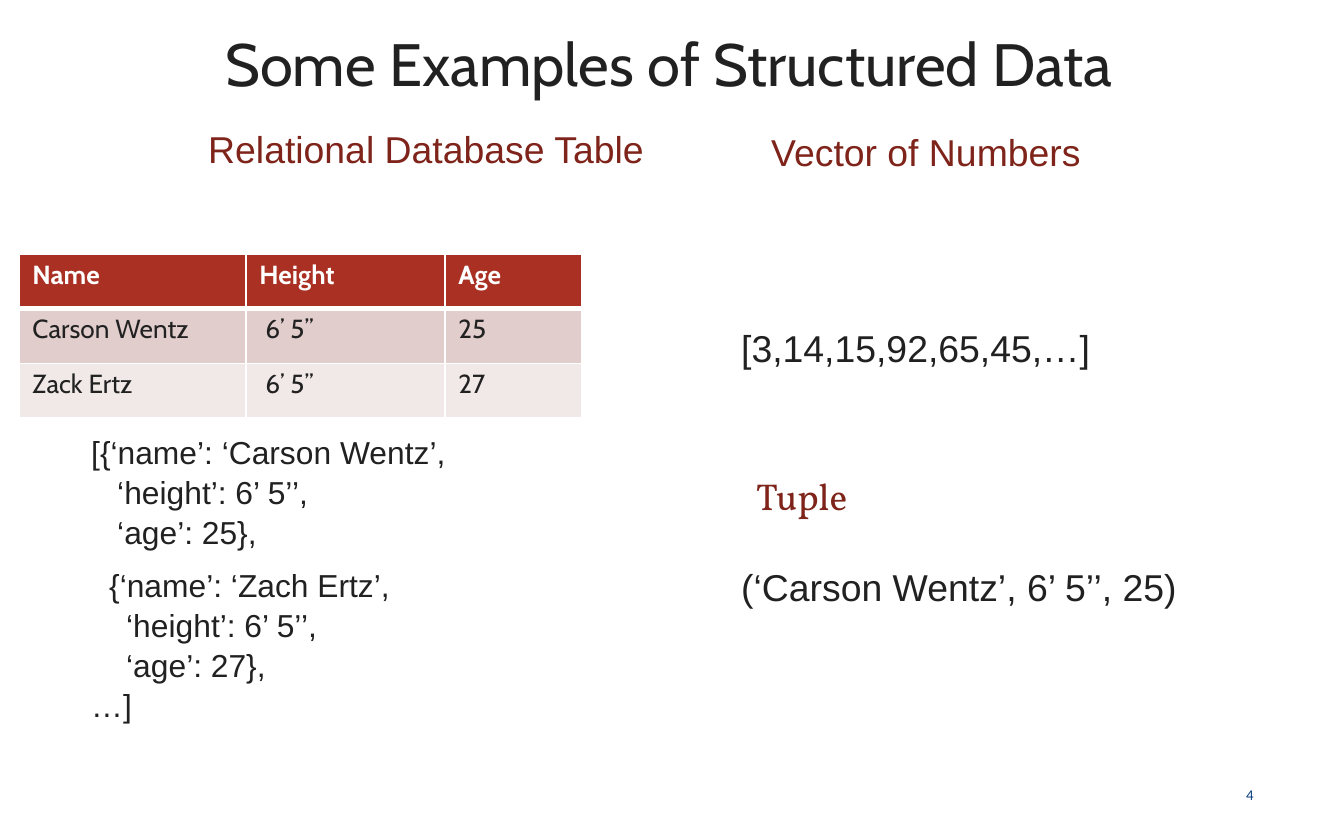
import pptx
import pptx.dml.color
import pptx.enum.text
import pptx.oxml
import pptx.oxml.ns
import pptx.util

PX = 914400 / 134.4
INK, RED, WHITE, BLUE = "212121", "7F241A", "FFFFFF", "0B4183"
HEAD_FILL, ROW_FILLS = "A93023", ("E2CDCD", "F1E8E8")
ALIGN = pptx.enum.text.PP_ALIGN
ANCHOR = pptx.enum.text.MSO_ANCHOR


def px(length):
    return pptx.util.Emu(round(length * PX))


def color(code):
    return pptx.dml.color.RGBColor.from_string(code)


def add_span(para, text, size, font, code, bold=False):
    span = para.add_run()
    span.text = text
    span.font.size = pptx.util.Pt(size)
    span.font.name = font
    span.font.bold = bold
    span.font.color.rgb = color(code)


def add_text(page, box, lines, size, font, code, anchor=ANCHOR.MIDDLE,
             align=ALIGN.LEFT, spacing=1.0):
    """Each line is (text, indent in px, space before in pt)."""
    frame = page.shapes.add_textbox(*map(px, box)).text_frame
    frame.word_wrap = True
    frame.vertical_anchor = anchor
    frame.margin_top = frame.margin_bottom = px(5)
    for index, (text, indent, before) in enumerate(lines):
        para = frame.add_paragraph() if index else frame.paragraphs[0]
        para.alignment = align
        para.line_spacing = spacing
        para.space_before = pptx.util.Pt(before)
        if indent:
            para._p.get_or_add_pPr().set("marL", str(px(indent)))
        add_span(para, text, size, font, code)


def add_heading(page, box, text, font="Arial"):
    add_text(page, box, [(text, 0, 0)], 20, font, RED, ANCHOR.BOTTOM)


def set_borders(cell, bottom):
    properties = cell._tc.get_or_add_tcPr()
    for index, (side, width) in enumerate(zip("LRTB", (1, 1, 1, bottom))):
        line = pptx.oxml.parse_xml(
            f'<a:ln{side} {pptx.oxml.ns.nsdecls("a")} w="{width * 12700}">'
            f'<a:solidFill><a:srgbClr val="{WHITE}"/></a:solidFill></a:ln{side}>')
        properties.insert(index, line)


def add_players(page, box, widths, rows):
    table = page.shapes.add_table(len(rows), len(widths), *map(px, box)).table
    for column, width in zip(table.columns, widths):
        column.width = px(width)
    for r, row in enumerate(rows):
        header = r == 0
        table.rows[r].height = px(box[3] / len(rows))
        for c, text in enumerate(row):
            cell = table.cell(r, c)
            cell.margin_top = cell.margin_bottom = px(5)
            cell.fill.solid()
            cell.fill.fore_color.rgb = color(HEAD_FILL if header else ROW_FILLS[r - 1])
            add_span(cell.text_frame.paragraphs[0], text, 14, "Cabin",
                     WHITE if header else INK, header)
            set_borders(cell, 3 if header else 1)


def add_relational(page, left, top):
    add_heading(page, (left + 176, top, 508, 70), "Relational Database Table")
    add_players(page, (left, top + 148, 563, 164), (227, 199, 137), [
        ("Name", "Height", "Age"),
        ("Carson Wentz", " 6’ 5’’", "25"),
        ("Zack Ertz", " 6’ 5’’", "27"),
    ])
    # Records as a list of dictionaries
    records = [
        ("[{‘name’: ‘Carson Wentz’,", 0, 0),
        ("‘height’: 6’ 5’’,", 26, 0),
        ("‘age’: 25},", 26, 0),
        ("{‘name’: ‘Zach Ertz’,", 18, 7),
        ("‘height’: 6’ 5’’,", 35, 0),
        ("‘age’: 27},", 35, 0),
        ("…]", 0, 0),
    ]
    add_text(page, (left + 59, top + 346, 540, 250), records, 17, "Arial", INK,
             spacing=1.05)


def add_sequences(page, left, top):
    add_heading(page, (left + 30, top, 509, 71), "Vector of Numbers")
    add_text(page, (left, top + 82, 539, 555),
             [("[3,14,15,92,65,45,…]", 0, 0), ("(‘Carson Wentz’, 6’ 5’’, 25)", 0, 104)],
             20, "Arial", INK)
    add_heading(page, (left + 15, top + 344, 509, 71), "Tuple", "Vollkorn")


def main():
    deck = pptx.Presentation()
    deck.slide_width, deck.slide_height = px(1344), px(840)
    page = deck.slides.add_slide(deck.slide_layouts[6])
    # Title
    add_text(page, (69, 19, 1200, 87), [("Some Examples of Structured Data", 0, 0)],
             32, "Cabin", INK, align=ALIGN.CENTER)
    # Left and right halves
    add_relational(page, 19, 106)
    add_sequences(page, 728, 108)
    # Page number
    add_text(page, (1207, 773, 60, 44), [("4", 0, 0)], 8, "Calibri", BLUE,
             align=ALIGN.RIGHT)
    deck.save("out.pptx")


if __name__ == "__main__":
    main()
